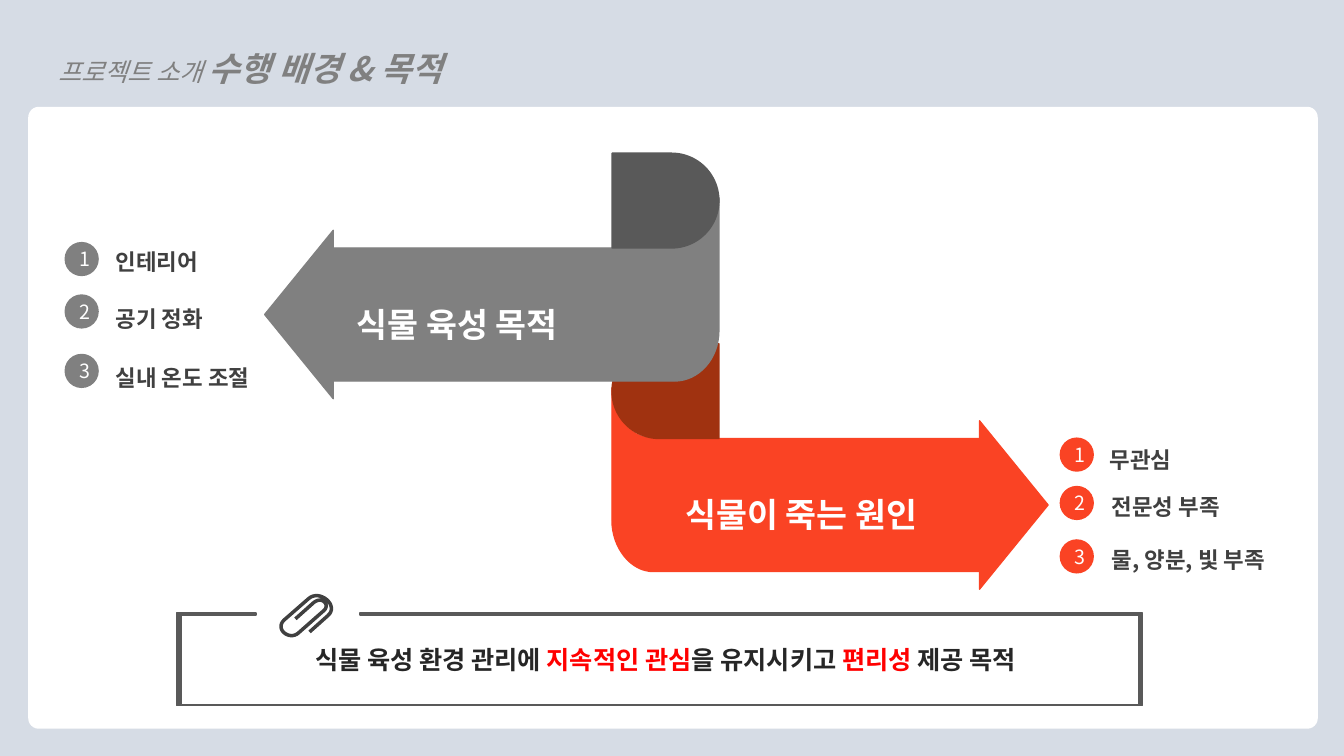
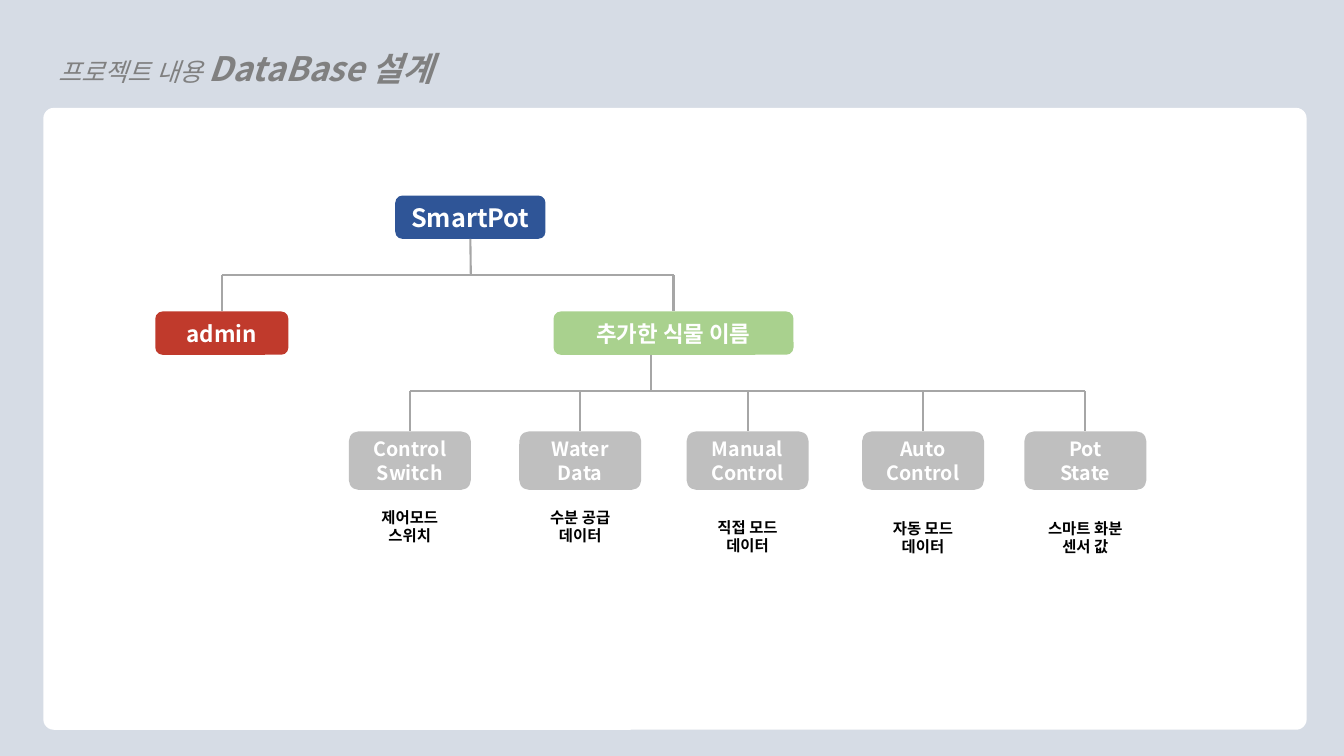
import lxml.etree
import pptx
import pptx.dml.color
import pptx.enum.shapes
import pptx.enum.text
import pptx.oxml.ns
import pptx.util

Inches = pptx.util.Inches
Pt = pptx.util.Pt
KIND = pptx.enum.shapes.MSO_SHAPE
LINE = pptx.enum.shapes.MSO_CONNECTOR.STRAIGHT
ALIGN = pptx.enum.text.PP_ALIGN
MIDDLE = pptx.enum.text.MSO_ANCHOR.MIDDLE
qn = pptx.oxml.ns.qn

FONT = "Noto Sans CJK KR"
COLORS = {
    "back": "D6DCE5", "white": "FFFFFF", "black": "000000",
    "gray": "808080", "dark": "595959", "ink": "404040", "text": "262626",
    "orange": "FA4324", "rust": "A03210", "red": "FF0000",
    "navy": "2F5597", "brick": "C03A2C", "green": "A9D18E",
    "silver": "BFBFBF", "wire": "A6A6A6",
}


def color(name):
    return pptx.dml.color.RGBColor.from_string(COLORS[name])


def box(x, y, w, h):
    return [Inches(v) for v in (x, y, w, h)]


def add_run(para, text, size, tint, bold=False, slant=False):
    run = para.add_run()
    run.text = text
    font = run.font
    font.size = Pt(size)
    font.bold = bold
    font.italic = slant
    font.color.rgb = color(tint)
    font.name = FONT
    lxml.etree.SubElement(font._element, qn("a:ea"), typeface=FONT)


def write(shape, lines, align=ALIGN.LEFT, space=None):
    frame = shape.text_frame
    frame.word_wrap = True
    for i, runs in enumerate(lines):
        para = frame.paragraphs[0] if i == 0 else frame.add_paragraph()
        para.alignment = align
        if space:
            para.line_spacing = space
        for run in runs:
            add_run(para, *run)


def label(slide, place, lines, **style):
    write(slide.shapes.add_textbox(*box(*place)), lines, **style)


def paint(shape, fill=None, line=None, width=1):
    shape.shadow.inherit = False
    if fill:
        shape.fill.solid()
        shape.fill.fore_color.rgb = color(fill)
    else:
        shape.fill.background()
    if line:
        shape.line.color.rgb = color(line)
        shape.line.width = Pt(width)
    else:
        shape.line.fill.background()


def block(slide, kind, place, fill, line=None, turn=0, adjust=()):
    shape = slide.shapes.add_shape(kind, *box(*place))
    for i, value in enumerate(adjust):
        shape.adjustments[i] = value
    shape.rotation = turn
    paint(shape, fill, line)
    return shape


def curve(start, bend, steps=16):
    nodes = [start, bend[:2], bend[2:4], bend[4:]]
    for i in range(1, steps + 1):
        t = i / steps
        parts = ((1 - t) ** 3, 3 * t * (1 - t) ** 2, 3 * t * t * (1 - t), t ** 3)
        yield tuple(sum(p * n[k] for p, n in zip(parts, nodes)) for k in (0, 1))


def trace(slide, start, moves, fill=None, line=None, width=1):
    points = [start]
    for move in moves:
        points += [move] if len(move) == 2 else curve(points[-1], move)
    spots = [(Inches(x), Inches(y)) for x, y in points]
    form = slide.shapes.build_freeform(*spots[0])
    form.add_line_segments(spots[1:], close=bool(fill))
    paint(form.convert_to_shape(), fill, line, width)


def wire(slide, x1, y1, x2, y2, above=None, below=None):
    link = slide.shapes.add_connector(LINE, *box(x1, y1, x2, y2))
    link.line.color.rgb = color("wire")
    link.line.width = Pt(1.5)
    lxml.etree.SubElement(link._element.spPr, qn("a:effectLst"))
    if above:
        link.begin_connect(above, 2)
    if below:
        link.end_connect(below, 0)


def base(deck, lead, title, panel):
    slide = deck.slides.add_slide(deck.slide_layouts[6])
    slide.background.fill.solid()
    slide.background.fill.fore_color.rgb = color("back")
    block(slide, KIND.ROUNDED_RECTANGLE, panel, "white", adjust=[0.017])
    runs = [(lead, 18, "gray", False, True), (title, 24, "gray", True, True)]
    label(slide, (0.48, 0.23, 4.84, 0.71), [runs], space=1.5)
    return slide


def points(slide, left, tint, items):
    for i, (top, x, y, text) in enumerate(items, 1):
        dot = block(slide, KIND.OVAL, (left, top, 0.34, 0.34), tint)
        dot.text_frame.vertical_anchor = MIDDLE
        write(dot, [[(str(i), 14, "white")]], ALIGN.CENTER)
        label(slide, (x, y, 2.4, 0.5), [[(text, 16, "ink", True)]], space=1.5)


def fold(slide, top, tint, turn):
    block(slide, KIND.ROUND_2_SAME_RECTANGLE, (6.13, top, 0.94, 1.06),
          tint, tint, turn, [0.5, 0])


def head(slide, place, tint, turn):
    block(slide, KIND.ISOSCELES_TRIANGLE, place, tint, tint, turn)


def arrows(slide):
    trace(slide, (6.07, 3.85), [
        (6.07, 5.16), (6.07, 5.44, 6.26, 5.67, 6.48, 5.67), (9.71, 5.67),
        (9.71, 4.35), (6.48, 4.35), (6.25, 4.35, 6.07, 4.12, 6.07, 3.85),
    ], "orange", "orange")
    fold(slide, 3.35, "rust", 270)
    head(slide, (9.22, 4.67, 1.67, 0.68), "orange", 90)
    trace(slide, (7.13, 1.96), [
        (7.13, 3.28), (7.13, 3.56, 6.93, 3.78, 6.69, 3.78), (3.31, 3.78),
        (3.31, 2.46), (6.7, 2.46), (6.93, 2.46, 7.13, 2.24, 7.13, 1.96),
    ], "gray", "gray")
    fold(slide, 1.46, "dark", 90)
    head(slide, (2.13, 2.78, 1.67, 0.68), "gray", 270)
    for x, y, text in ((3.44, 2.77, "식물 육성 목적"), (6.7, 4.65, "식물이 죽는 원인")):
        label(slide, (x, y, 4.05, 0.71), [[(text, 24, "white", True)]], space=1.5)


def note(slide):
    block(slide, KIND.RECTANGLE, (1.79, 6.09, 9.51, 0.9), "white")
    trace(slide, (2.93, 6.14), [
        (3.11, 5.98), (3.19, 5.91, 3.28, 6, 3.21, 6.06),
        (2.96, 6.28), (2.87, 6.36, 2.72, 6.24, 2.82, 6.15),
        (3.06, 5.94), (3.17, 5.84, 3.37, 6.01, 3.25, 6.11), (3.07, 6.27),
    ], line="ink", width=2.5)
    parts = [("식물 육성 환경 관리에 ", "text"), ("지속적인 관심", "red"),
             ("을 유지시키고 ", "text"), ("편리성", "red"), (" 제공 목적", "text")]
    label(slide, (2.14, 6.34, 8.92, 0.4),
          [[(text, 18, tint, True) for text, tint in parts]], align=ALIGN.CENTER)
    trace(slide, (1.75, 6.08), [
        (2.54, 6.08), (2.54, 6.1), (1.8, 6.1), (1.8, 6.99), (11.29, 6.99),
        (11.29, 6.1), (3.57, 6.1), (3.57, 6.08), (11.33, 6.08), (11.33, 7), (1.75, 7),
    ], "dark", "dark")


def node(slide, place, tint, size, *lines):
    shape = block(slide, KIND.ROUNDED_RECTANGLE, place, tint)
    shape.text_frame.vertical_anchor = MIDDLE
    write(shape, [[(text, size, "white", True)] for text in lines], ALIGN.CENTER)
    return shape


def branch(slide, x, top, rail, kids, above=None):
    wire(slide, x, top, x, rail, above=above)
    mids = [(kid.left + kid.width / 2) / Inches(1) for kid in kids]
    wire(slide, min(mids), rail, max(mids), rail)
    for mid, kid in zip(mids, kids):
        wire(slide, mid, rail, mid, kid.top / Inches(1), below=kid)


def tree(slide):
    root = node(slide, (3.92, 1.94, 1.49, 0.43), "navy", 18, "SmartPot")
    admin = node(slide, (1.54, 3.09, 1.32, 0.43), "brick", 16, "admin")
    plant = node(slide, (5.49, 3.09, 2.38, 0.43), "green", 16, "추가한 식물 이름")
    leaves = []
    for x, name, y, hint in (
        (3.46, ("Control", "Switch"), 4.99, ("제어모드", "스위치")),
        (5.15, ("Water", "Data"), 4.99, ("수분 공급", "데이터")),
        (6.81, ("Manual", "Control"), 5.09, ("직접 모드", "데이터")),
        (8.55, ("Auto", "Control"), 5.1, ("자동 모드", "데이터")),
        (10.16, ("Pot", "State"), 5.1, ("스마트 화분", "센서 값")),
    ):
        leaves.append(node(slide, (x, 4.28, 1.21, 0.58), "silver", 14, *name))
        label(slide, (x + 0.02, y, 1.17, 0.47),
              [[(text, 11, "black", True)] for text in hint], align=ALIGN.CENTER)
    branch(slide, 4.67, 2.37, 2.73, [admin, plant], root)
    branch(slide, 6.46, 3.52, 3.88, leaves)


def main():
    deck = pptx.Presentation()
    deck.slide_width = Inches(13.33)
    deck.slide_height = Inches(7.5)

    goals = base(deck, "프로젝트 소개 ", "수행 배경 & 목적", (0.28, 1.06, 12.79, 6.17))
    arrows(goals)
    points(goals, 0.64, "gray", [
        (2.4, 1.05, 2.28, "인테리어"),
        (2.92, 1.05, 2.84, "공기 정화"),
        (3.51, 1.05, 3.43, "실내 온도 조절"),
    ])
    points(goals, 10.51, "orange", [
        (4.34, 10.91, 4.24, "무관심"),
        (4.82, 10.93, 4.71, "전문성 부족"),
        (5.35, 10.93, 5.24, "물, 양분, 빛 부족"),
    ])
    note(goals)

    design = base(deck, "프로젝트 내용 ", "DataBase 설계", (0.43, 1.07, 12.53, 6.17))
    tree(design)
    deck.save("out.pptx")


if __name__ == "__main__":
    main()
